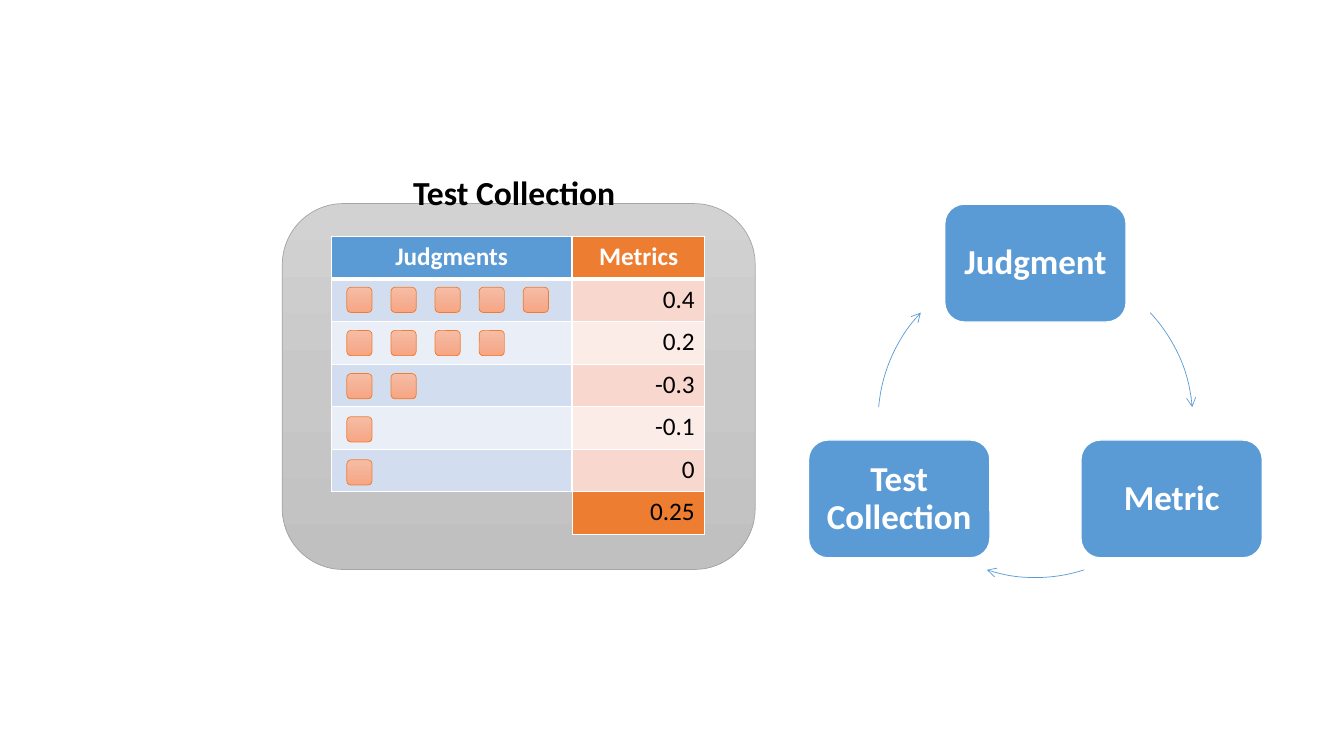
from copy import deepcopy
from math import cos, radians, sin
from lxml.etree import SubElement
from pptx import Presentation
from pptx.dml.color import RGBColor
from pptx.enum.shapes import MSO_SHAPE
from pptx.enum.text import MSO_ANCHOR, PP_ALIGN
from pptx.oxml.ns import qn
from pptx.util import Inches, Pt

WHITE = RGBColor(0xFF, 0xFF, 0xFF)
BLACK = RGBColor(0, 0, 0)
BLUE = RGBColor(0x5B, 0x9B, 0xD5)
ORANGE = RGBColor(0xED, 0x7D, 0x31)
GREY = RGBColor(0xA5, 0xA5, 0xA5)
BLUES = RGBColor(0xD2, 0xDE, 0xEF), RGBColor(0xEA, 0xEF, 0xF7)
PEACH = RGBColor(0xF8, 0xD7, 0xCE), RGBColor(0xFC, 0xEC, 0xE8)
SILVER = [RGBColor(0xD2, 0xD2, 0xD2), RGBColor(0xC8, 0xC8, 0xC8), RGBColor(0xC0, 0xC0, 0xC0)]
CORAL = [RGBColor(0xF7, 0xBD, 0xA5), RGBColor(0xF5, 0xB1, 0x96), RGBColor(0xF8, 0xA5, 0x82)]

# Content
TITLE = "Test Collection"
JUDGED = ["Judgments", "", "", "", "", ""]
CHIPS = [5, 4, 2, 1, 1]
SCORES = ["Metrics", "0.4", "0.2", "-0.3", "-0.1", "0", "0.25"]
# Node text, node angle, start and end angle of the arrow after it
CYCLE = [("Judgment", -90, 316.8, 355.2),
         ("Metric", 30, 72, 108),
         ("Test Collection", 150, 184.8, 223.2)]

# Grid, in inches
WIDE, HIGH = 13.33, 7.5
LEFT, TOP, ROW = 3.29, 2.35, 0.4215
COLS = 2.38, 1.31
CHIP, STEP, DROP = 0.25, 0.4375, 0.428
MIDX, MIDY, RAD = 10.27, 4.17, 1.56
NODE = 1.8, 1.17

deck = Presentation()
deck.slide_width, deck.slide_height = Inches(WIDE), Inches(HIGH)
slide = deck.slides.add_slide(deck.slide_layouts[6])


def write(para, text, size, color, bold, align):
    para.text, para.alignment = text, align
    look = {"name": "Calibri", "size": Pt(size), "bold": bold}
    for key, val in look.items():
        setattr(para.font, key, val)
    para.font.color.rgb = color


def draw(kind, x, y, w, h, line, width):
    shape = slide.shapes.add_shape(kind, *map(Inches, (x, y, w, h)))
    shape.shadow.inherit = False
    shape.line.color.rgb, shape.line.width = line, Pt(width)
    return shape


def shade(shape, colors):
    fill = shape.fill
    fill.gradient()
    fill.gradient_angle = 270
    first = shape._element.spPr.find(".//" + qn("a:gs"))
    first.addnext(deepcopy(first))
    for stop, pos, color in zip(fill.gradient_stops, (0, 0.5, 1), colors):
        stop.position, stop.color.rgb = pos, color


def edge(cell, row):
    for side in "LRTB" if row == 0 else "LRB":
        width = Pt(3 if row == 0 and side == "B" else 1)
        line = SubElement(cell._tc.get_or_add_tcPr(), qn("a:ln" + side), w=str(width))
        solid = SubElement(line, qn("a:solidFill"))
        SubElement(solid, qn("a:srgbClr"), val=str(WHITE))


def grid(x, width, texts, head, bands):
    frame = slide.shapes.add_table(len(texts), 1, Inches(x), Inches(TOP),
                                   Inches(width), Inches(ROW * len(texts)))
    table = frame.table
    table.first_row = table.horz_banding = False
    for row, text in enumerate(texts):
        cell = table.cell(row, 0)
        edge(cell, row)
        cell.fill.solid()
        cell.fill.fore_color.rgb = head if row in (0, 6) else bands[(row - 1) % 2]
        top = row == 0
        write(cell.text_frame.paragraphs[0], text, 18, WHITE if top else BLACK,
              top, PP_ALIGN.CENTER if top else PP_ALIGN.RIGHT)


# Panel with the two tables
panel = draw(MSO_SHAPE.ROUNDED_RECTANGLE, 2.8, 2.02, 4.69, 3.63, GREY, 0.5)
shade(panel, SILVER)
grid(LEFT, COLS[0], JUDGED, BLUE, BLUES)
for row, count in enumerate(CHIPS):
    for col in range(count):
        chip = draw(MSO_SHAPE.ROUNDED_RECTANGLE, LEFT + 0.15 + col * STEP,
                    TOP + 0.5 + row * DROP, CHIP, CHIP, ORANGE, 0.5)
        shade(chip, CORAL)
grid(LEFT + COLS[0] + 0.01, COLS[1], SCORES, ORANGE, PEACH)

# Panel title
title = slide.shapes.add_textbox(*map(Inches, (4, 1.66, 2.23, 0.5)))
title.text_frame.word_wrap = False
write(title.text_frame.paragraphs[0], TITLE, 24, BLACK, True, PP_ALIGN.LEFT)

# Cycle of nodes and arrows
for text, angle, start, end in CYCLE:
    w, h = NODE
    x = MIDX + RAD * cos(radians(angle)) - w / 2
    y = MIDY + RAD * sin(radians(angle)) - h / 2
    node = draw(MSO_SHAPE.ROUNDED_RECTANGLE, x, y, w, h, WHITE, 1)
    node.fill.solid()
    node.fill.fore_color.rgb = BLUE
    frame = node.text_frame
    frame.word_wrap, frame.vertical_anchor = True, MSO_ANCHOR.MIDDLE
    for side in ("left", "right", "top", "bottom"):
        setattr(frame, "margin_" + side, Inches(0.1))
    write(frame.paragraphs[0], text, 25, WHITE, True, PP_ALIGN.CENTER)
    frame.paragraphs[0].line_spacing = 0.9

    arc = draw(MSO_SHAPE.ARC, MIDX - RAD, MIDY - RAD, 2 * RAD, 2 * RAD, BLUE, 0.5)
    arc.fill.background()
    # Arc angles are stored in 60000ths of a degree
    arc.adjustments[0], arc.adjustments[1] = start * 0.6, end * 0.6
    SubElement(arc.line._get_or_add_ln(), qn("a:tailEnd"), type="arrow")

deck.save("out.pptx")
